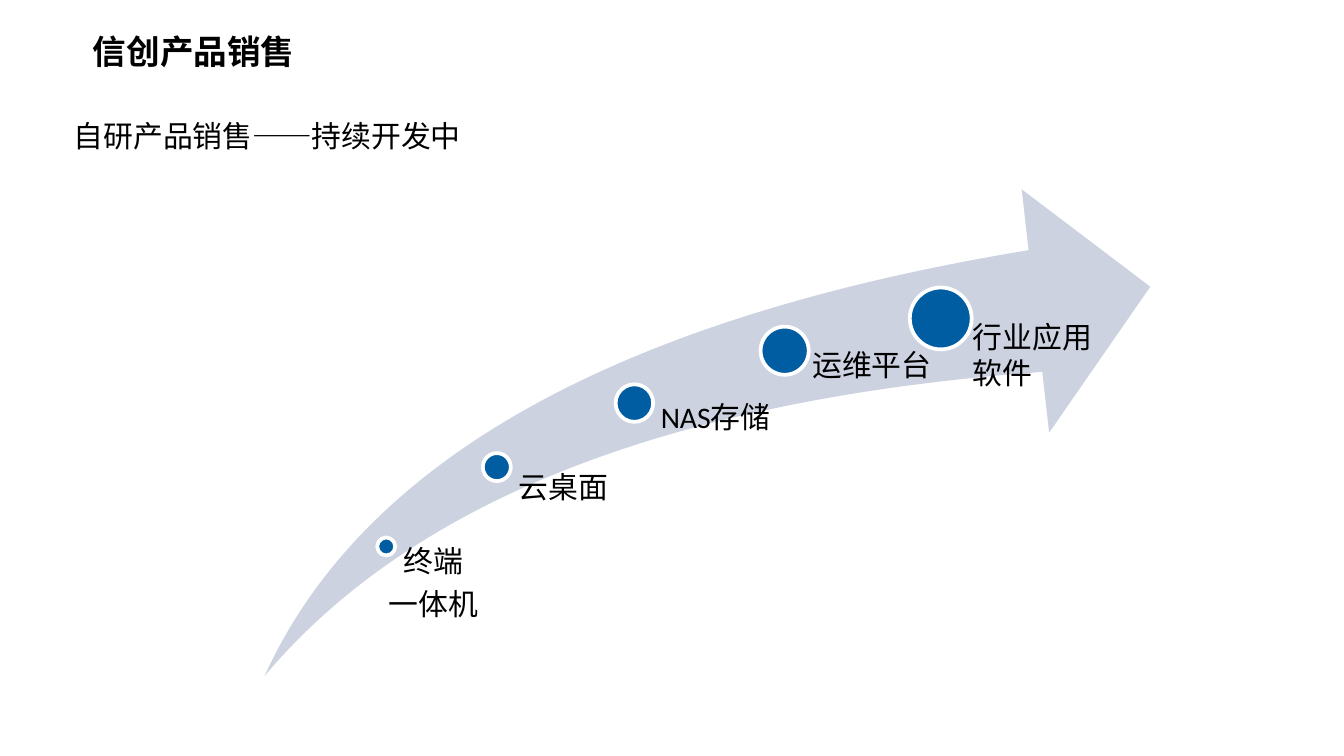
"""Build the product sales slide with a rising arrow of milestones."""
from dataclasses import dataclass
from typing import Any

from lxml.etree import SubElement
from pptx import Presentation
from pptx.dml.color import RGBColor
from pptx.enum.shapes import MSO_SHAPE as Preset
from pptx.enum.text import MSO_ANCHOR as Anchor, MSO_AUTO_SIZE as AutoSize, PP_ALIGN as Align
from pptx.oxml.ns import qn
from pptx.util import Cm, Pt

BLACK = RGBColor(0x00, 0x00, 0x00)
WHITE = RGBColor(0xFF, 0xFF, 0xFF)
BLUE = RGBColor(0x00, 0x5D, 0xA2)
PALE = RGBColor(0xCC, 0xD2, 0xE0)

HEADING_FONT = "Noto Sans CJK SC"
LABEL_FONT = "Calibri"
LABEL_BOTTOM = 12.8
INSET_RATIO = 0.52
NO_MARGINS = {"margin_top": 0, "margin_right": 0, "margin_bottom": 0}


@dataclass(frozen=True)
class Milestone:
    """A dot on the arrow and its label, with lengths in centimetres."""
    lines: tuple[str, ...]
    center_x: float
    center_y: float
    diameter: float
    label_left: float
    label_top: float
    label_width: float
    label_bottom: float = LABEL_BOTTOM
    alignment: Align = Align.LEFT
    anchor: Anchor = Anchor.TOP
    line_spacing: float = 0.9


MILESTONES = (
    Milestone(("终端", "一体机"), 7.3, 10.33, 0.34, 7.14, 9.96, 1.93, 12.14,
              Align.CENTER, Anchor.MIDDLE),
    Milestone(("云桌面",), 9.39, 8.83, 0.53, 9.53, 8.94, 2.44),
    Milestone(("NAS存储",), 11.99, 7.62, 0.71, 12.12, 7.62, 2.84),
    Milestone(("运维平台",), 14.83, 6.63, 0.91, 14.88, 6.63, 2.95),
    Milestone(("行业应用软件",), 17.78, 6.02, 1.17, 17.78, 6.02, 2.95, line_spacing=1.0),
)


def apply_format(target: Any, values: dict[str, Any]) -> None:
    """Set every attribute named in the format values."""
    for name, value in values.items():
        setattr(target, name, value)


def box(left: float, top: float, width: float, height: float) -> dict[str, Cm]:
    """Return position and size values from centimetres."""
    return {"left": Cm(left), "top": Cm(top), "width": Cm(width), "height": Cm(height)}


def write_line(paragraph: Any, text: str, typeface: str, size: int,
               bold: bool, values: dict[str, Any]) -> None:
    """Write one formatted line into a paragraph."""
    apply_format(paragraph, values)
    run = paragraph.add_run()
    run.text = text
    apply_format(run.font, {"name": typeface, "size": Pt(size), "bold": bold})
    run.font.color.rgb = BLACK
    SubElement(run.font._element, qn("a:ea"), typeface=typeface)


def add_preset(shapes: Any, preset: Preset, place: dict[str, Cm], color: RGBColor) -> Any:
    """Add a flat filled preset shape without an outline."""
    shape = shapes.add_shape(preset, **place)
    shape.shadow.inherit = False
    shape.fill.solid()
    shape.fill.fore_color.rgb = color
    shape.line.fill.background()
    return shape


def add_milestone(shapes: Any, milestone: Milestone) -> None:
    """Add a dot and its label."""
    diameter = milestone.diameter
    dot = add_preset(shapes, Preset.OVAL,
                     box(milestone.center_x - diameter / 2, milestone.center_y - diameter / 2,
                         diameter, diameter), BLUE)
    dot.line.color.rgb = WHITE
    dot.line.width = Pt(2)
    label = shapes.add_textbox(**box(milestone.label_left, milestone.label_top,
                                     milestone.label_width,
                                     milestone.label_bottom - milestone.label_top))
    frame = label.text_frame
    apply_format(frame, {**NO_MARGINS, "margin_left": Cm(diameter * INSET_RATIO),
                         "word_wrap": True, "vertical_anchor": milestone.anchor})
    for index, line in enumerate(milestone.lines):
        paragraph = frame.add_paragraph() if index else frame.paragraphs[0]
        write_line(paragraph, line, LABEL_FONT, 16, False,
                   {"alignment": milestone.alignment, "space_after": Pt(5.6),
                    "line_spacing": milestone.line_spacing})


def add_headings(slide: Any) -> None:
    """Fill the title and body placeholders."""
    title, body = slide.shapes.title, slide.placeholders[1]
    apply_format(title, box(1.5, 0.48, 22.86, 0.97))
    apply_format(title.text_frame, {"vertical_anchor": Anchor.MIDDLE,
                                    "auto_size": AutoSize.NONE})
    write_line(title.text_frame.paragraphs[0], "信创产品销售", HEADING_FONT, 18, True,
               {"alignment": Align.LEFT})

    apply_format(body, box(0, 1.75, 26.26, 1.17))
    apply_format(body.text_frame, {"vertical_anchor": Anchor.TOP, "word_wrap": True,
                                   "auto_size": AutoSize.SHAPE_TO_FIT_TEXT})
    paragraph = body.text_frame.paragraphs[0]
    properties = paragraph._p.get_or_add_pPr()
    properties.set("marL", "0")
    properties.set("indent", str(Cm(1.14)))
    SubElement(properties, qn("a:buNone"))
    write_line(paragraph, "自研产品销售——持续开发中", HEADING_FONT, 16, False,
               {"alignment": Align.LEFT, "line_spacing": 1.5, "space_before": Pt(0)})


def main() -> None:
    """Create and save the presentation."""
    presentation = Presentation()
    apply_format(presentation, {"slide_width": Cm(25.4), "slide_height": Cm(14.29)})
    slide = presentation.slides.add_slide(presentation.slide_layouts[1])
    add_headings(slide)
    diagram = slide.shapes.add_group_shape()
    arrow = add_preset(diagram.shapes, Preset.SWOOSH_ARROW, box(5, 3.58, 16.74, 9.2), PALE)
    for index in range(2):
        arrow.adjustments[index] = 0.25
    for milestone in MILESTONES:
        add_milestone(diagram.shapes, milestone)
    presentation.save("out.pptx")


if __name__ == "__main__":
    main()
